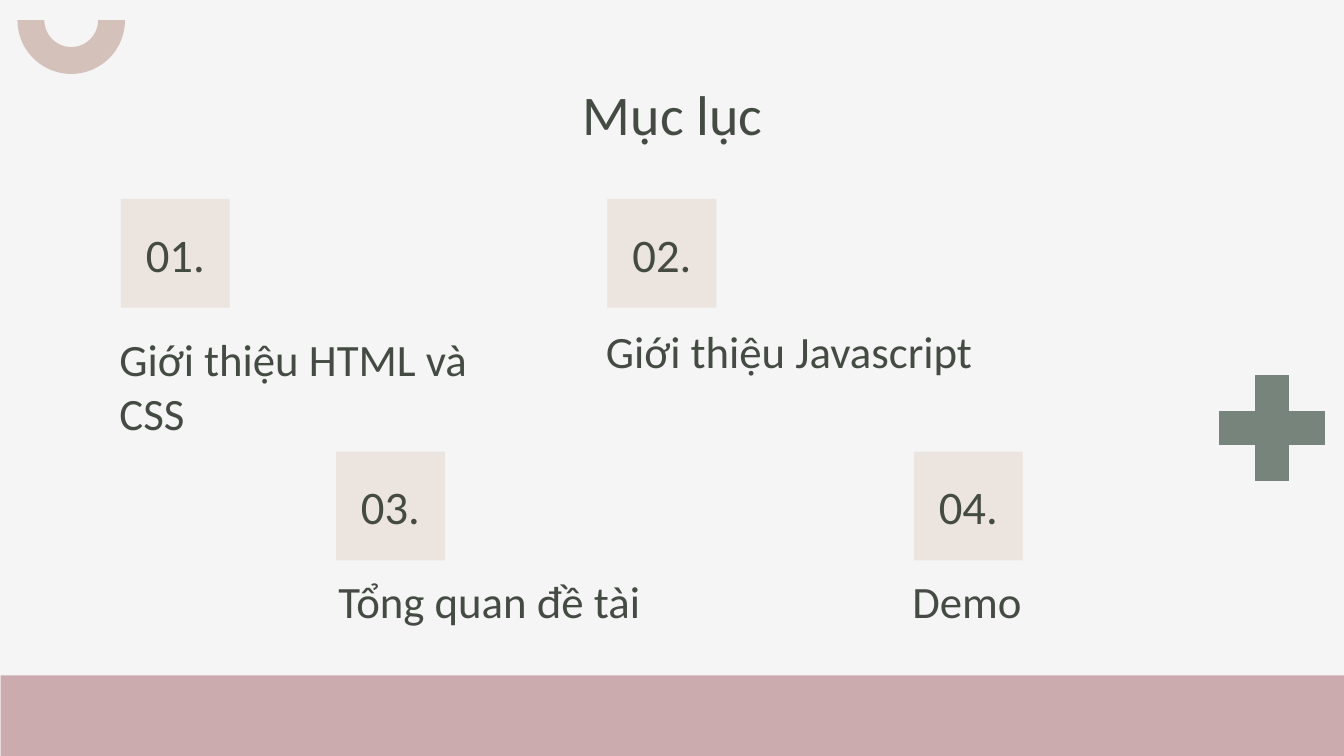
from dataclasses import dataclass

from pptx import Presentation
from pptx import util as u
from pptx.dml import color
from pptx.enum import shapes, text


@dataclass(frozen=True)
class Theme:
    font: str = "Calibri"
    background: str = "F5F5F5"
    ink: str = "434B43"
    band: str = "CCABAF"
    arc: str = "D3C1BA"
    plus: str = "77847B"
    tile: str = "ECE4DF"
    title_size: int = 30
    number_size: int = 25
    topic_size: int = 24


theme = Theme()
deck = Presentation()
deck.slide_width = u.Inches(10)
deck.slide_height = u.Inches(10 * 9 / 16)
page = deck.slides.add_slide(deck.slide_layouts[6])
page.background.fill.solid()
page.background.fill.fore_color.rgb = color.RGBColor.from_string(theme.background)


def add_filled(kind, left, top, width, height, fill):
    shape = page.shapes.add_shape(
        kind, u.Inches(left), u.Inches(top), u.Inches(width), u.Inches(height)
    )
    shape.shadow.inherit = False
    shape.fill.solid()
    shape.fill.fore_color.rgb = color.RGBColor.from_string(fill)
    shape.line.fill.background()
    return shape


def write(box, words, size, align=text.PP_ALIGN.LEFT, anchor=text.MSO_ANCHOR.TOP):
    frame = box.text_frame
    frame.word_wrap = True
    frame.vertical_anchor = anchor
    frame.margin_left = frame.margin_right = u.Inches(0.1)
    frame.margin_top = frame.margin_bottom = u.Inches(0.1)
    para = frame.paragraphs[0]
    para.alignment = align
    span = para.add_run()
    span.text = words
    span.font.name = theme.font
    span.font.size = u.Pt(size)
    span.font.color.rgb = color.RGBColor.from_string(theme.ink)


band = add_filled(shapes.MSO_SHAPE.RECTANGLE, 4.71, 0.32, 0.6, 10.01, theme.band)
band.rotation = 90

arc = add_filled(shapes.MSO_SHAPE.BLOCK_ARC, 0.13, -0.25, 0.8, 0.8, theme.arc)
arc.rotation = 180
arc.adjustments[0] = 108
arc.adjustments[1] = 0
arc.adjustments[2] = 0.25

plus = add_filled(shapes.MSO_SHAPE.MATH_PLUS, 8.93, 2.65, 1.07, 1.07, theme.plus)
plus.adjustments[0] = 0.235

title = page.shapes.add_textbox(
    u.Inches(0.79), u.Inches(0.49), u.Inches(8.43), u.Inches(0.63)
)
write(title, "Mục lục", theme.title_size, align=text.PP_ALIGN.CENTER)

topics = [
    ("Giới thiệu HTML và CSS", 0.9, 1.48, 0.79, 2.37, 3.14),
    ("Giới thiệu Javascript", 4.52, 1.48, 4.41, 2.31, 3.54),
    ("Tổng quan đề tài", 2.5, 3.36, 2.42, 4.17, 3.12),
    ("Demo", 6.8, 3.36, 6.69, 4.17, 2.52),
]
for number, (topic, tile_left, tile_top, left, top, width) in enumerate(topics, 1):
    tile = add_filled(
        shapes.MSO_SHAPE.RECTANGLE, tile_left, tile_top, 0.81, 0.81, theme.tile
    )
    write(
        tile,
        f"{number:02}.",
        theme.number_size,
        align=text.PP_ALIGN.CENTER,
        anchor=text.MSO_ANCHOR.MIDDLE,
    )
    label = page.shapes.add_textbox(
        u.Inches(left), u.Inches(top), u.Inches(width), u.Inches(0.54)
    )
    write(label, topic, theme.topic_size)

deck.save("out.pptx")
